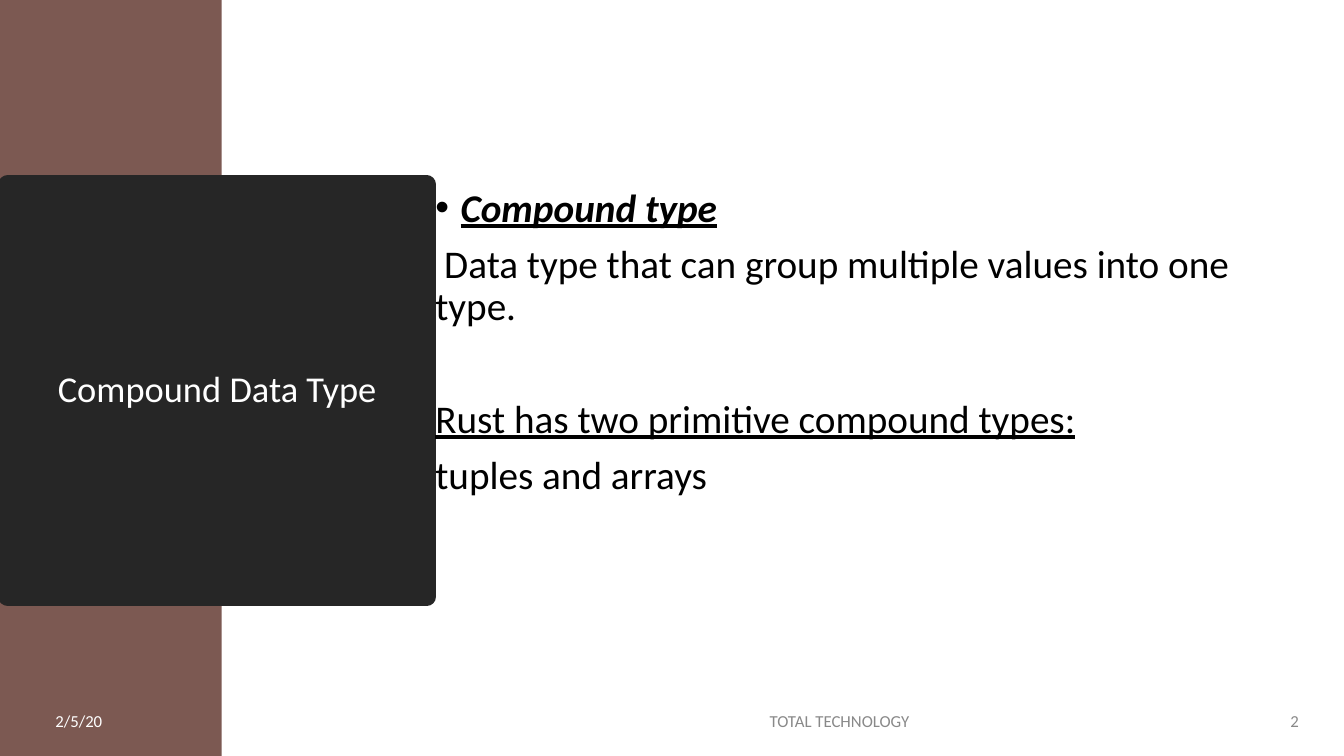
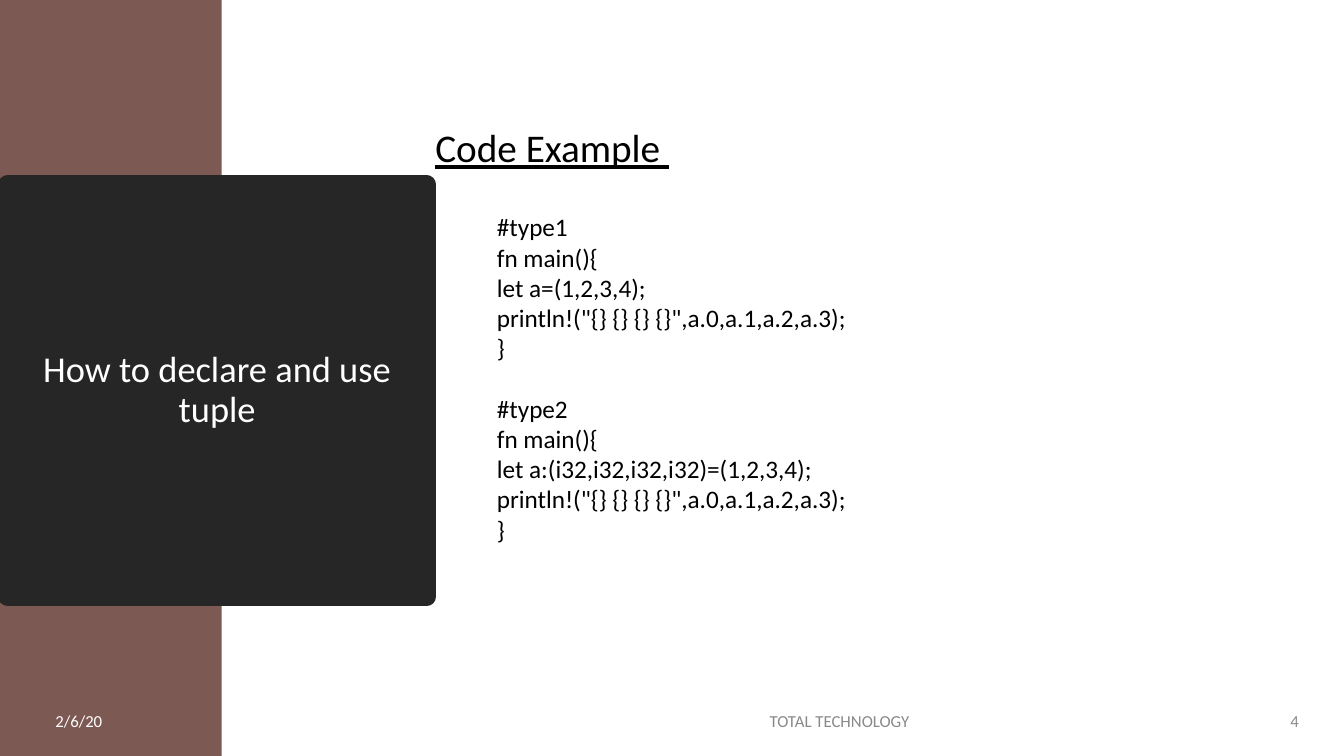
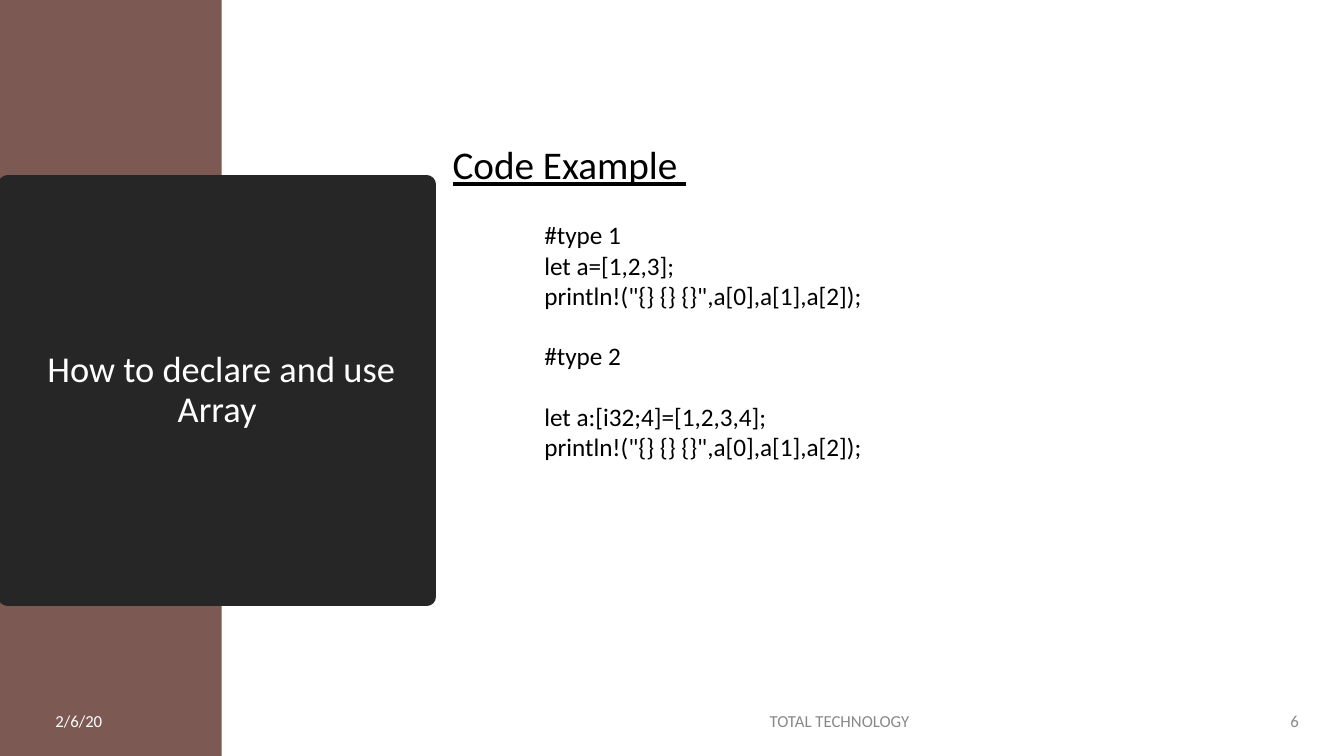
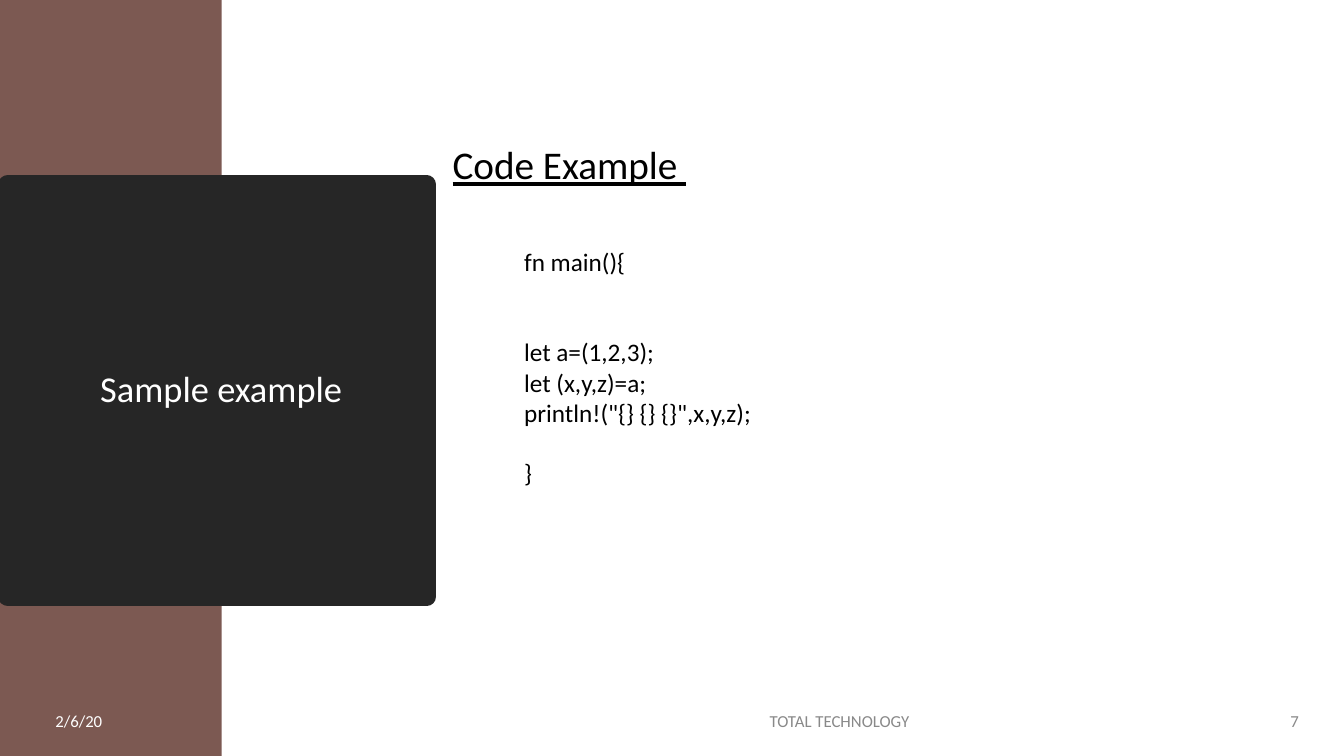
from lxml.etree import SubElement
from pptx import Presentation
from pptx.dml.color import RGBColor
from pptx.enum.shapes import MSO_SHAPE
from pptx.enum.text import MSO_ANCHOR, MSO_AUTO_SIZE, PP_ALIGN
from pptx.oxml.ns import qn
from pptx.util import Inches, Pt


class Deck:
    font = "Calibri"
    colours = {
        "band": "7C5952",
        "panel": "262626",
        "light": "FFFFFF",
        "muted": "898989",
        "text": "000000",
    }
    code_pitch = 21.6

    def __init__(self):
        self.deck = Presentation()
        self.deck.slide_width = Inches(13.33)
        self.deck.slide_height = Inches(7.5)
        self.page = None

    def colour(self, name):
        return RGBColor.from_string(self.colours[name])

    def span(self, para, text, size, colour="text", bold=False, italic=False, underline=False):
        span = para.add_run()
        span.text = text
        font = span.font
        font.name = self.font
        font.size = Pt(size)
        font.bold = bold
        font.italic = italic
        font.underline = underline
        font.color.rgb = self.colour(colour)

    def box(self, left, top, width, height, wrap=True):
        box = self.page.shapes.add_textbox(
            Inches(left), Inches(top), Inches(width), Inches(height)
        )
        box.text_frame.word_wrap = wrap
        return box.text_frame

    def paragraph(self, frame, index):
        return frame.add_paragraph() if index else frame.paragraphs[0]

    def bullet(self, para):
        properties = para._p.get_or_add_pPr()
        properties.set("marL", str(Inches(0.25)))
        properties.set("indent", str(-Inches(0.25)))
        SubElement(properties, qn("a:buFont")).set("typeface", "Arial")
        SubElement(properties, qn("a:buChar")).set("char", "•")

    def add_page(self, title, date, number):
        self.page = self.deck.slides.add_slide(self.deck.slide_layouts[5])
        self.title(title)
        self.band()
        self.footer(0.45, 1.62, date, "light", PP_ALIGN.LEFT)
        self.footer(4.5, 7.69, "TOTAL TECHNOLOGY ", "muted", PP_ALIGN.CENTER)
        self.footer(12.37, 0.61, str(number), "muted", PP_ALIGN.RIGHT)

    def title(self, text):
        panel = self.page.shapes.title
        panel.left, panel.top = Inches(0.08), Inches(1.83)
        panel.width, panel.height = Inches(4.15), Inches(4.09)
        panel.fill.solid()
        panel.fill.fore_color.rgb = self.colour("panel")
        panel.line.color.rgb = self.colour("panel")
        panel.line.width = Pt(13.75)
        SubElement(panel.element.spPr.find(qn("a:ln")), qn("a:round"))
        frame = panel.text_frame
        frame.word_wrap = True
        frame.auto_size = MSO_AUTO_SIZE.NONE
        frame.vertical_anchor = MSO_ANCHOR.MIDDLE
        para = frame.paragraphs[0]
        para.alignment = PP_ALIGN.CENTER
        para.line_spacing = 0.9
        self.span(para, text, 26, "light")

    def band(self):
        band = self.page.shapes.add_shape(
            MSO_SHAPE.RECTANGLE, 0, 0, Inches(2.2), self.deck.slide_height
        )
        band.shadow.inherit = False
        band.fill.solid()
        band.fill.fore_color.rgb = self.colour("band")
        band.line.fill.background()
        self.page.shapes.title.element.addprevious(band.element)

    def footer(self, left, width, text, colour, alignment):
        frame = self.box(left, 6.95, width, 0.4)
        frame.vertical_anchor = MSO_ANCHOR.MIDDLE
        para = frame.paragraphs[0]
        para.alignment = alignment
        self.span(para, text, 12, colour)

    def body(self, left, top, height, items):
        frame = self.box(left, top, 8.76, height)
        for index, (text, gap, bulleted, style) in enumerate(items):
            para = self.paragraph(frame, index)
            para.line_spacing = 0.9
            para.space_before = Pt(gap)
            if bulleted:
                self.bullet(para)
            self.span(para, text, 28, **style)

    def code(self, left, top, width, height, listing):
        frame = self.box(left, top, width, height, wrap=False)
        frame.auto_size = MSO_AUTO_SIZE.SHAPE_TO_FIT_TEXT
        index = blanks = 0
        for line in listing.strip().splitlines():
            if not line:
                blanks += 1
                continue
            para = self.paragraph(frame, index)
            if blanks:
                para.space_before = Pt(blanks * self.code_pitch)
            self.span(para, line, 18)
            index += 1
            blanks = 0

    def code_page(self, title, number, heading_at, code_at, listing):
        self.add_page(title, "2/6/20", number)
        self.body(*heading_at, 4.46, [("Code Example ", 0, False, {"underline": True})])
        self.code(*code_at, listing)


TUPLE_CODE = """
#type1
fn main(){
let a=(1,2,3,4);
println!("{} {} {} {}",a.0,a.1,a.2,a.3);
}

#type2
fn main(){
let a:(i32,i32,i32,i32)=(1,2,3,4);
println!("{} {} {} {}",a.0,a.1,a.2,a.3);
}
"""

ARRAY_CODE = """
#type 1
let a=[1,2,3];
println!("{} {} {}",a[0],a[1],a[2]);

#type 2

let a:[i32;4]=[1,2,3,4];
println!("{} {} {}",a[0],a[1],a[2]);
"""

SAMPLE_CODE = """
fn main(){


let a=(1,2,3);
let (x,y,z)=a;
println!("{} {} {}",x,y,z);

}
"""


def main():
    deck = Deck()
    deck.add_page("Compound Data Type", "2/5/20", 2)
    deck.body(4.22, 1.82, 3.87, [
        ("Compound type", 0, True, {"bold": True, "italic": True, "underline": True}),
        (" Data type that can group multiple values into one type.", 10, False, {}),
        ("Rust has two primitive compound types:", 50, False, {"underline": True}),
        ("tuples and arrays", 10, False, {}),
    ])
    deck.code_page("How to declare and use tuple", 4, (4.22, 1.23),
                   (4.83, 2.05, 3.7, 3.74), TUPLE_CODE)
    deck.code_page(" How to declare and use Array", 6, (4.39, 1.4),
                   (5.3, 2.13, 3.38, 3.13), ARRAY_CODE)
    deck.code_page(" Sample example", 7, (4.39, 1.4),
                   (5.1, 2.39, 2.48, 2.83), SAMPLE_CODE)
    deck.deck.save("out.pptx")


if __name__ == "__main__":
    main()
